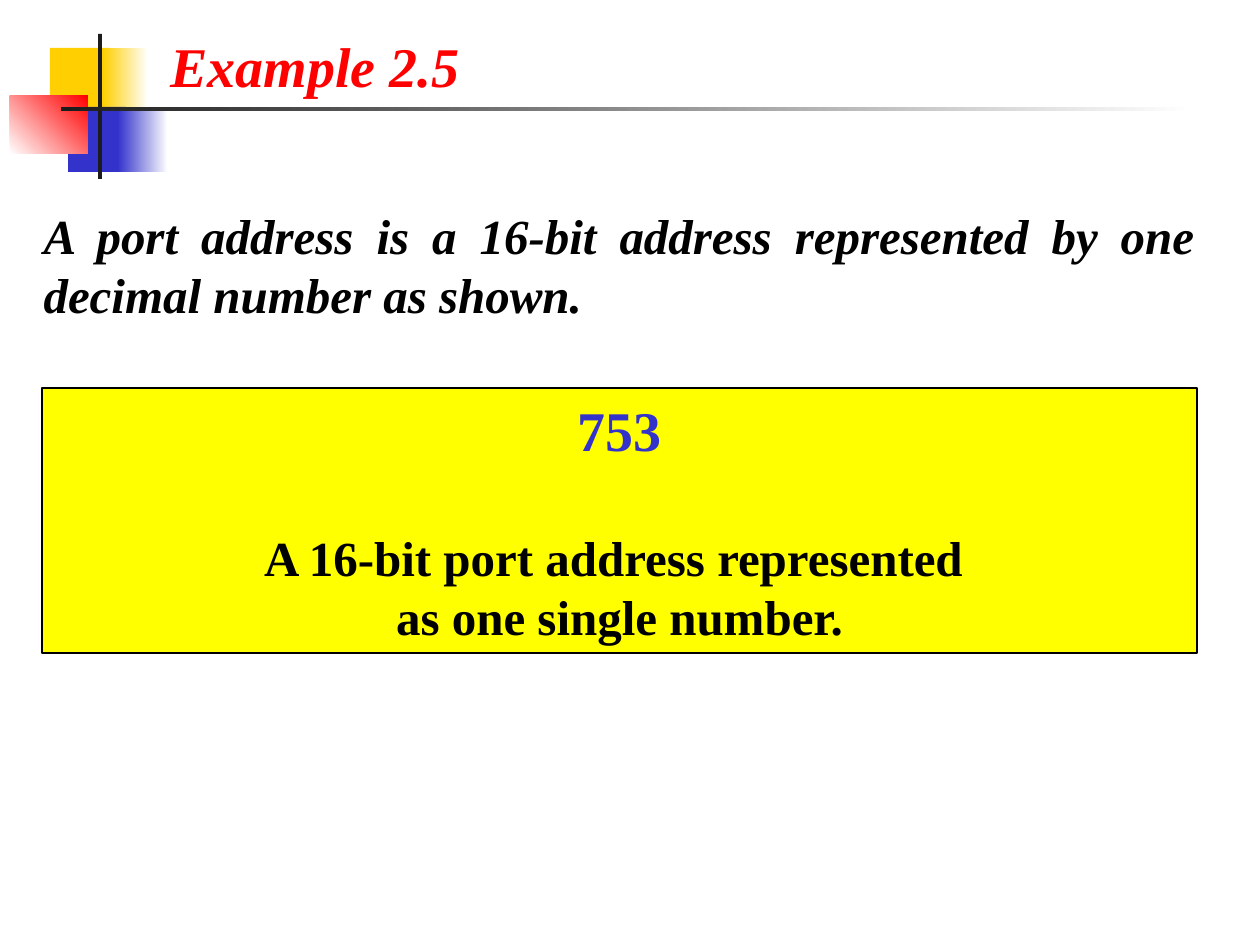
import pptx
import pptx.dml.color
import pptx.enum.shapes
import pptx.enum.text
import pptx.oxml.ns
import pptx.util
import lxml.etree

PX = pptx.util.Inches(1) / 126
ALIGN = pptx.enum.text.PP_ALIGN
ANCHOR = pptx.enum.text.MSO_ANCHOR
COLORS = {
    "white": "FFFFFF", "black": "000000", "ink": "1C1C1C", "gold": "FFCF01",
    "blue": "3333CC", "red": "FF0000", "yellow": "FFFF00",
}


def emu(px):
    return pptx.util.Emu(round(px * PX))


def rgb(name):
    return pptx.dml.color.RGBColor.from_string(COLORS[name])


class SlideBuilder:
    """Holds the text style and the current slide."""

    font_name = "Times New Roman"

    def __init__(self, slide):
        self.slide = slide

    def rect(self, box, fill, line=None):
        shape = self.slide.shapes.add_shape(
            pptx.enum.shapes.MSO_SHAPE.RECTANGLE, *map(emu, box))
        shape.shadow.inherit = False
        shape.fill.solid()
        shape.fill.fore_color.rgb = rgb(fill)
        if line:
            shape.line.color.rgb = rgb(line)
            shape.line.width = pptx.util.Pt(0.75)
        else:
            shape.line.fill.background()
        return shape

    def fade(self, box, start, end, angle=0):
        shape = self.rect(box, start)
        shape.fill.gradient()
        shape.fill.gradient_angle = angle
        for stop, color, position in zip(shape.fill.gradient_stops, (start, end), (0, 1)):
            stop.color.rgb = rgb(color)
            stop.position = position

    def placeholder(self, index, box):
        holder = self.slide.placeholders[index]
        for side, length in zip(("left", "top", "width", "height"), box):
            setattr(holder, side, emu(length))
        # Bring the text in front of the decoration
        holder.element.getparent().append(holder.element)
        return holder

    def frame(self, shape, anchor=ANCHOR.TOP, wrap=True):
        formats = {"vertical_anchor": anchor, "word_wrap": wrap,
                   "auto_size": pptx.enum.text.MSO_AUTO_SIZE.NONE}
        for name, value in formats.items():
            setattr(shape.text_frame, name, value)
        return shape.text_frame

    def set_text(self, paragraph, text, size, color, align, italic=False, before=0):
        paragraph.text = text
        paragraph.alignment = align
        paragraph.space_before = pptx.util.Pt(before)
        formats = {"name": self.font_name, "size": pptx.util.Pt(size),
                   "bold": True, "italic": italic}
        for run in paragraph.runs:
            for name, value in formats.items():
                setattr(run.font, name, value)
            run.font.color.rgb = rgb(color)

    def plain(self, paragraph):
        """Remove the bullet and the indent of the body placeholder."""
        properties = paragraph._p.get_or_add_pPr()
        for name in ("marL", "indent"):
            properties.set(name, "0")
        lxml.etree.SubElement(properties, pptx.oxml.ns.qn("a:buNone"))


def main():
    deck = pptx.Presentation()
    deck.slide_width, deck.slide_height = emu(1260), emu(945)
    page = SlideBuilder(deck.slides.add_slide(deck.slide_layouts[1]))

    # Corner ornament and title rule
    page.rect((50, 48, 60, 65), "gold")
    page.fade((103, 48, 45, 65), "gold", "white")
    page.rect((68, 107, 58, 65), "blue")
    page.fade((118, 107, 50, 65), "blue", "white")
    page.fade((10, 96, 78, 58), "white", "red", angle=45)
    page.rect((98, 34, 4, 145), "ink")
    page.fade((61, 107, 1134, 4), "ink", "white")

    # Title
    title = page.frame(page.placeholder(0, (158, 25, 315, 81)), wrap=False)
    page.set_text(title.paragraphs[0], "Example 2.5", 32, "red", ALIGN.LEFT, italic=True)

    # Statement
    statement = page.frame(page.placeholder(1, (31, 199, 1176, 131)))
    page.set_text(statement.paragraphs[0],
                  "A port address is a 16-bit address represented by one "
                  "decimal number as shown.",
                  28, "black", ALIGN.JUSTIFY, italic=True)
    page.plain(statement.paragraphs[0])

    # Port number panel
    panel = page.frame(page.rect((42, 388, 1155, 265), "yellow", line="black"),
                       anchor=ANCHOR.MIDDLE)
    page.set_text(panel.paragraphs[0], "753", 32, "blue", ALIGN.CENTER)
    page.set_text(panel.add_paragraph(),
                  "A 16-bit port address represented \vas one single number.",
                  28, "black", ALIGN.CENTER, before=37)

    deck.save("out.pptx")


if __name__ == "__main__":
    main()
